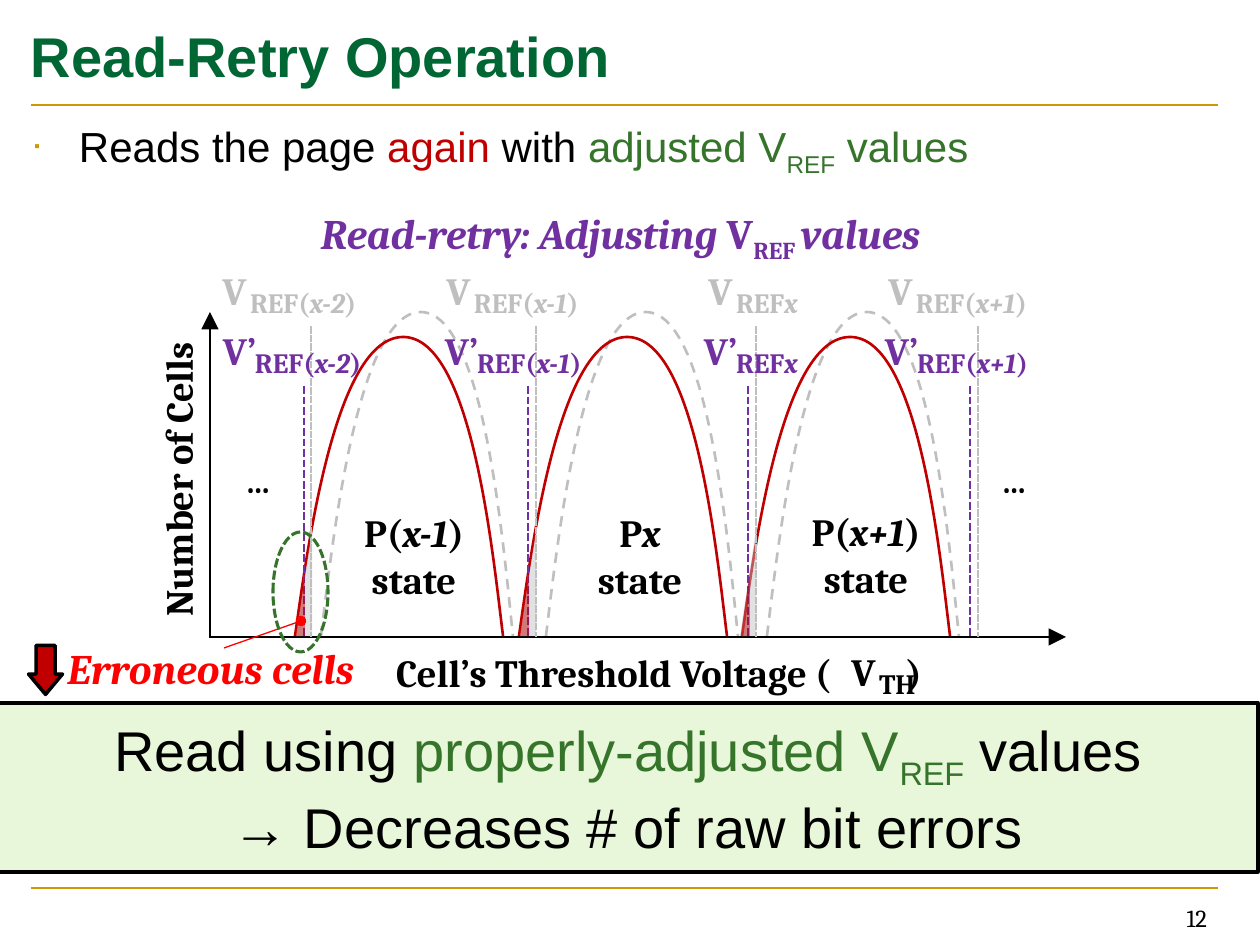
from pptx import Presentation
from pptx.dml.color import RGBColor as RGB
from pptx.enum.dml import MSO_LINE as Dash
from pptx.enum.shapes import MSO_CONNECTOR as Conn, MSO_SHAPE as Kind
from pptx.enum.text import MSO_ANCHOR as Anchor, PP_ALIGN as Align
from pptx.oxml.ns import qn
from pptx.util import Pt
from lxml.etree import SubElement as Sub

PX = 914400 / 126
BLACK, WHITE = RGB(0, 0, 0), RGB(255, 255, 255)
GOLD, GREEN = RGB(0xCC, 0x99, 0), RGB(0x35, 0x74, 0x2A)
DEEP, PALE = RGB(0, 0x66, 0x33), RGB(0xE8, 0xF7, 0xD9)
CRIMSON, RED = RGB(0xC0, 0, 0), RGB(255, 0, 0)
PURPLE, GRAY = RGB(0x70, 0x30, 0xA0), RGB(0xBF, 0xBF, 0xBF)

# Content: a run is a string, or a string with its format
ITAL, SUB = {"i": True}, {"sub": True}
TITLE = ["Read-Retry Operation"]
BODY = ["Reads the page ", ("again", {"c": CRIMSON}), " with ",
        ("adjusted V", {"c": GREEN}), ("REF", {"c": GREEN, "sub": True}),
        (" values", {"c": GREEN})]
HEAD = [("Read-retry: Adjusting ", ITAL), "V", ("REF ", SUB), ("values", ITAL)]
RESULT = [["Read using ", ("properly-adjusted V", {"c": GREEN}),
           ("REF", {"c": GREEN, "sub": True}), " values"],
          ["→ Decreases # of raw bit errors"]]
REFS = [["REF(", (name, ITAL), ")"] for name in ("x-2", "x-1", "x+1")]
REFS.insert(2, ["REF", ("x", ITAL)])
STATES = [  # runs, box, fill
    (["P", ("x", ITAL), "\n", "state"], (560, 509, 160, 93), None),
    (["P(", ("x-1", ITAL), ")", "\n", "state"], (334, 509, 160, 93), None),
    (["P(", ("x+1", ITAL), ")", "\n", "state"], (794, 508, 144, 93), WHITE)]

# Places of the repeated parts
OLD = {"c": GRAY, "sign": "V", "top": 267, "left": (190, 414, 676, 856)}
NEW = {"c": PURPLE, "sign": "V’", "top": 327, "left": (195, 417, 676, 857)}
OLD_X, NEW_X = (311, 536, 756, 978), (304, 528, 748, 970)
BELL = [(0, 1), (.06, .71), (.19, 0), (.52, 0), (.85, 0), (.95, .72), (1, 1)]

prs = Presentation()
prs.slide_width, prs.slide_height = round(1260 * PX), round(945 * PX)
shapes = prs.slides.add_slide(prs.slide_layouts[6]).shapes


def emu(*vals):
    return [round(v * PX) for v in vals]


def write(shape, paras, size, color=BLACK, font="Cambria", bold=True,
          align=Align.CENTER, anchor=Anchor.MIDDLE, pad=(0, 0)):
    frame = shape.text_frame
    frame.word_wrap, frame.vertical_anchor = True, anchor
    frame.margin_left = frame.margin_right = emu(pad[0])[0]
    frame.margin_top = frame.margin_bottom = emu(pad[1])[0]
    for num, runs in enumerate(paras):
        para = frame.add_paragraph() if num else frame.paragraphs[0]
        para.alignment = align
        for item in runs:
            if item == "\n":
                para.add_line_break()
                continue
            words, look = (item, {}) if isinstance(item, str) else item
            run = para.add_run()
            run.text = words
            face = run.font
            face.name, face.size, face.bold = font, Pt(size), bold
            face.italic = look.get("i", False)
            face.color.rgb = look.get("c", color)
            if look.get("sub"):
                run._r.get_or_add_rPr().set("baseline", "-25000")
    return frame.paragraphs[0]


def text(box, runs, size, **look):
    shape = shapes.add_textbox(*emu(*box))
    write(shape, [runs], size, **look)
    return shape


def paint(shape, fill=None, line=None, width=1, dash=None, alpha=None):
    shape.shadow.inherit = False
    if fill is None:
        shape.fill.background()
    else:
        shape.fill.solid()
        shape.fill.fore_color.rgb = fill
        if alpha:
            color = shape.fill._xPr.find(".//" + qn("a:srgbClr"))
            Sub(color, qn("a:alpha"), val=str(alpha * 1000))
    if line is None:
        shape.line.fill.background()
    else:
        shape.line.color.rgb, shape.line.width = line, Pt(width)
        if dash:
            shape.line.dash_style = dash
    return shape


def draw(kind, box, **look):
    return paint(shapes.add_shape(kind, *emu(*box)), **look)


def rule(x1, y1, x2, y2, color, width=1.5, dash=None, tail=None, size="med"):
    line = shapes.add_connector(Conn.STRAIGHT, *emu(x1, y1, x2, y2))
    line.line.color.rgb, line.line.width = color, Pt(width)
    if dash:
        line.line.dash_style = dash
    props = line._element.spPr
    if tail:
        Sub(props.find(qn("a:ln")), qn("a:tailEnd"), type=tail, w=size, len=size)
    Sub(props, qn("a:effectLst"))


def bell(left, top, wide, high, color, dash=None):
    spots = [emu(left + wide * x, top + high * y) for x, y in BELL]
    build = shapes.build_freeform(*spots[0])
    build.add_line_segments(spots[1:], close=False)
    shape = paint(build.convert_to_shape(), line=color, width=1.5, dash=dash)
    # Turn each three straight segments into one cubic curve
    track = shape._element.find(".//" + qn("a:path"))
    legs = track.findall(qn("a:lnTo"))
    for first in (0, 3):
        curve = Sub(track, qn("a:cubicBezTo"))
        for leg in legs[first:first + 3]:
            curve.append(leg[0])
            track.remove(leg)


def wedge(left, top, wide, high, color):
    shape = draw(Kind.ISOSCELES_TRIANGLE, (left, top, wide, high), fill=color, alpha=46)
    shape.adjustments[0] = 1


def sign(left, top, mark, runs, color):
    text((left, top, 89, 47), [mark], 22, color=color)
    text((left + 60, top + 18, 159, 34), runs, 16, color=color, align=Align.LEFT)


def signs(row):
    for left, runs in zip(row["left"], REFS):
        sign(left, row["top"], row["sign"], runs, row["c"])


# Frame of the slide
for y in (888, 105):
    rule(31, y, 1218, y, GOLD)
text((31, 5, 1187, 100), TITLE, 32, color=DEEP, font="Arial",
     align=Align.LEFT, pad=(0, 6))
body = shapes.add_textbox(*emu(31, 106, 1187, 782))
para = write(body, [BODY], 24, font="Arial", bold=False, align=Align.LEFT,
             anchor=Anchor.TOP, pad=(0, 15))
props = para._p.get_or_add_pPr()
props.set("marL", str(emu(48)[0]))
props.set("indent", str(emu(-48)[0]))
Sub(Sub(props, qn("a:buClr")), qn("a:srgbClr"), val=str(GOLD))
Sub(props, qn("a:buSzPct"), val="65000")
Sub(props, qn("a:buFont"), typeface="Wingdings", charset="2")
Sub(props, qn("a:buChar"), char="■")
text((926, 896, 294, 43), ["12"], 14, bold=False, align=Align.RIGHT, pad=(13, 6))

# Axes and old curves
for x, wide in ((937, 154), (178, 160)):
    text((x, 422, wide, 79), [("…", SUB)], 32)
text((-43, 456, 441, 47), ["Number of Cells"], 22).rotation = 270
rule(210, 636, 210, 312, BLACK, tail="triangle", size="lg")
for x in (321, 546, 767):
    bell(x, 312, 192, 324, GRAY, Dash.DASH)
rule(209, 637, 1066, 637, BLACK, tail="triangle", size="lg")
for runs, box, fill in STATES:
    write(draw(Kind.RECTANGLE, box, fill=fill), [runs], 22)
sign(819, 648, "V", ["TH"], BLACK)
axis = shapes.add_textbox(*emu(396, 649, 550, 47))
para = write(axis, [["Cell’s Threshold Voltage (\t)"]], 22, align=Align.LEFT)
Sub(Sub(para._p.get_or_add_pPr(), qn("a:tabLst")), qn("a:tab"),
    pos=str(emu(510)[0]), algn="l")

# Old and new reference voltages
signs(OLD)
for x in (295, 519, 742):
    bell(x, 337, 208, 299, CRIMSON)
for x in (296, 520, 740):
    wedge(x, 529, 16, 107, GRAY)
for top in (327, 326):
    for x in OLD_X:
        rule(x, top, x, top + 310, GRAY, 1.25, Dash.SQUARE_DOT)
for x in NEW_X:
    rule(x, 386, x, 636, PURPLE, dash=Dash.SQUARE_DOT)
signs(NEW)
for x in (296, 520, 741):
    wedge(x, 572, 9, 64, CRIMSON)

# Erroneous cells
text((24, 610, 373, 115), [("Erroneous cells", ITAL)], 24, color=RED, pad=(13, 6))
rule(224, 648, 301, 621, RED, 0.75, tail="oval")

# Result and heading
banner = draw(Kind.RECTANGLE, (-2, 703, 1260, 169), fill=PALE, line=BLACK, width=2)
write(banner, RESULT, 32, font="Arial", bold=False)
write(draw(Kind.RECTANGLE, (214, 211, 813, 50), fill=WHITE), [HEAD], 24, color=PURPLE)
arrow = draw(Kind.RIGHT_ARROW, (21, 653, 49, 34), fill=CRIMSON, line=BLACK, width=2)
arrow.rotation = 90
arrow.adjustments[0], arrow.adjustments[1] = 0.56, 0.6
draw(Kind.OVAL, (273, 532, 55, 120), line=GREEN, width=1.75, dash=Dash.SQUARE_DOT)

prs.save("out.pptx")
